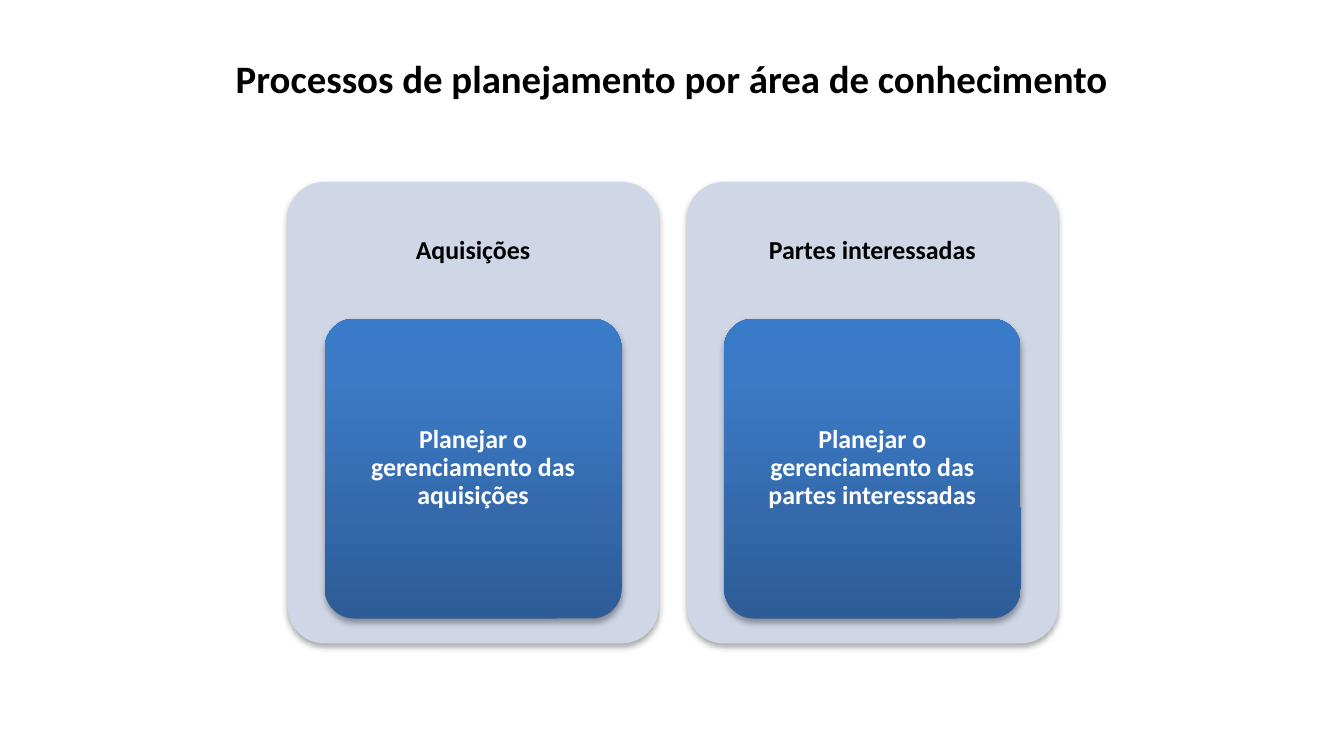
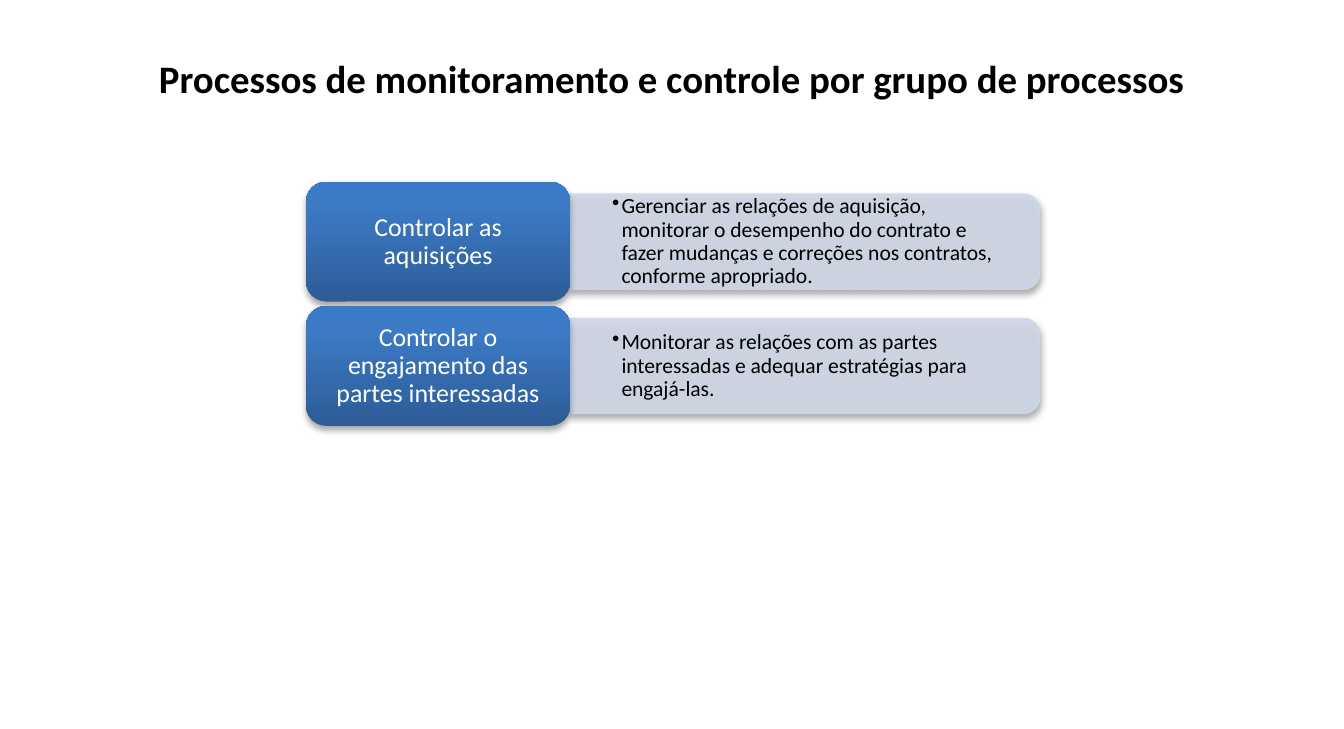
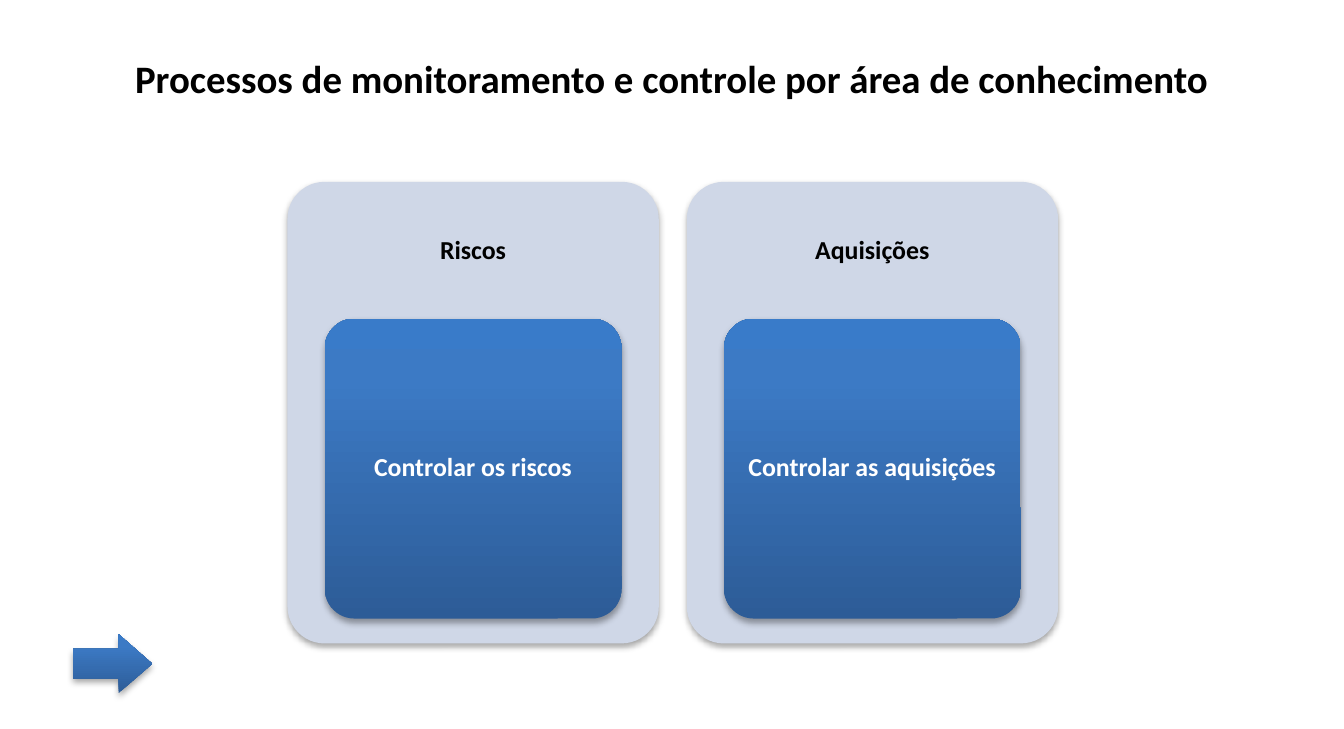
from lxml import etree
from pptx import Presentation
from pptx.dml.color import RGBColor
from pptx.enum.shapes import MSO_SHAPE
from pptx.enum.text import MSO_ANCHOR, PP_ALIGN
from pptx.oxml.ns import qn
from pptx.util import Inches, Pt

CENTER, LEFT = PP_ALIGN.CENTER, PP_ALIGN.LEFT
TOP, MIDDLE = MSO_ANCHOR.TOP, MSO_ANCHOR.MIDDLE
ROUNDED = MSO_SHAPE.ROUNDED_RECTANGLE
ROUNDED_TOP = MSO_SHAPE.ROUND_2_SAME_RECTANGLE
ARROW = MSO_SHAPE.RIGHT_ARROW

FONT = "Calibri"
BLACK, WHITE, PALE = "000000", "FFFFFF", "CFD7E7"
BLUE_STOPS = [(0, "2D5C97"), (80, "3C7AC5"), (100, "397BC9")]
SLIDE_WIDTH, SLIDE_HEIGHT = 8.65, 4.69
CONTENT_TOP = 1.17

PLANNING_TITLE = "Processos de planejamento por área de conhecimento"
PLANNING_CARDS = [
    ("Aquisições", "Planejar o gerenciamento das aquisições"),
    ("Partes interessadas", "Planejar o gerenciamento das partes interessadas"),
]
GROUP_TITLE = "Processos de monitoramento e controle por grupo de processos"
GROUP_ROWS = [
    ("Controlar as aquisições",
     "Gerenciar as relações de aquisição, monitorar o desempenho do contrato e "
     "fazer mudanças e correções nos contratos, conforme apropriado."),
    ("Controlar o engajamento das partes interessadas",
     "Monitorar as relações com as partes interessadas e adequar estratégias para "
     "engajá-las."),
]
AREA_TITLE = "Processos de monitoramento e controle por área de conhecimento"
AREA_CARDS = [
    ("Riscos", "Controlar os riscos"),
    ("Aquisições", "Controlar as aquisições"),
]


def color(value):
    return RGBColor.from_string(value)


def add_element(parent, tag, **attributes):
    element = etree.SubElement(parent, qn(tag))
    for name, value in attributes.items():
        element.set(name, str(value))
    return element


def add_color(parent, value, opacity=100):
    element = add_element(parent, "a:srgbClr", val=value)
    if opacity < 100:
        add_element(element, "a:alpha", val=opacity * 1000)


def add_shadow(shape):
    shape.shadow.inherit = False
    effects = shape._element.spPr.find(qn("a:effectLst"))
    shadow = add_element(effects, "a:outerShdw", blurRad=Pt(3.1), dist=Pt(1.8),
                         dir=90 * 60000, rotWithShape=0)
    add_color(shadow, BLACK, 35)


def fill_blue(shape):
    shape.fill.solid()
    properties = shape._element.spPr
    solid = properties.find(qn("a:solidFill"))
    gradient = etree.Element(qn("a:gradFill"), rotWithShape="1")
    stops = add_element(gradient, "a:gsLst")
    for position, value in BLUE_STOPS:
        add_color(add_element(stops, "a:gs", pos=position * 1000), value)
    add_element(gradient, "a:lin", ang=270 * 60000, scaled=0)
    properties.replace(solid, gradient)


def add_box(slide, kind, box, adjustments, fill=None):
    shape = slide.shapes.add_shape(kind, *map(Inches, box))
    for index, value in enumerate(adjustments):
        shape.adjustments[index] = value
    if fill:
        shape.fill.solid()
        shape.fill.fore_color.rgb = color(fill)
    else:
        fill_blue(shape)
    shape.line.fill.background()
    add_shadow(shape)
    return shape


def set_text(shape, text, size, font_color, margins, bold=False, align=CENTER,
             anchor=MIDDLE, spacing=0.9, bullet=False):
    frame = shape.text_frame
    frame.word_wrap = True
    frame.vertical_anchor = anchor
    (frame.margin_left, frame.margin_top,
     frame.margin_right, frame.margin_bottom) = map(Inches, margins)
    paragraph = frame.paragraphs[0]
    paragraph.text = text
    paragraph.alignment = align
    paragraph.line_spacing = spacing
    if bullet:
        properties = paragraph._p.get_or_add_pPr()
        properties.set("marL", str(Inches(0.06)))
        properties.set("indent", str(Inches(-0.06)))
        add_element(properties, "a:buChar", char="•")
    font = paragraph.runs[0].font
    font.name, font.size, font.bold = FONT, Pt(size), bold
    font.color.rgb = color(font_color)


def add_titled_slide(presentation, title):
    slide = presentation.slides.add_slide(presentation.slide_layouts[6])
    box = slide.shapes.add_textbox(0, Inches(0.3), Inches(SLIDE_WIDTH), Inches(0.4))
    set_text(box, title, 18, BLACK, (0.1, 0.05, 0.1, 0.05), bold=True,
             anchor=TOP, spacing=1.0)
    return slide


def add_cards(slide, cards):
    width, height, pitch, heading_height = 2.39, 2.97, 2.57, 0.89
    inner_width, inner_height = 1.91, 1.93
    for index, (heading, process) in enumerate(cards):
        left = 1.85 + index * pitch
        card = add_box(slide, ROUNDED, (left, CONTENT_TOP, width, height), [0.1], PALE)
        set_text(card, heading, 12, BLACK,
                 (0.05, 0.05, 0.05, height - heading_height + 0.05), bold=True)
        inner_left = left + (width - inner_width) / 2
        inner = add_box(slide, ROUNDED,
                        (inner_left, CONTENT_TOP + 0.88, inner_width, inner_height), [0.1])
        set_text(inner, process, 12, WHITE, (0.03, 0.02, 0.03, 0.02), bold=True)


def add_rows(slide, rows):
    label_left, label_width, label_height, pitch = 1.97, 1.7, 0.77, 0.8
    panel_left = label_left + label_width
    panel_width, panel_height = 3.02, 0.61
    for index, (label_text, description) in enumerate(rows):
        top = CONTENT_TOP + index * pitch
        middle = top + label_height / 2
        panel = add_box(slide, ROUNDED_TOP,
                        (panel_left + (panel_width - panel_height) / 2,
                         middle - panel_width / 2, panel_height, panel_width),
                        [0.167, 0], PALE)
        panel.rotation = 90
        panel.line.color.rgb = color(PALE)
        panel.line.width = Pt(0.75)
        for tone in panel._element.spPr.findall(".//" + qn("a:solidFill") + "/*"):
            add_element(tone, "a:alpha", val=90000)
        text = slide.shapes.add_textbox(Inches(panel_left), Inches(middle - 0.275),
                                        Inches(2.99), Inches(0.55))
        set_text(text, description, 10, BLACK, (0.27, 0.14, 0.27, 0.14),
                 align=LEFT, bullet=True)
        label = add_box(slide, ROUNDED, (label_left, top, label_width, label_height), [0.167])
        set_text(label, label_text, 12, WHITE, (0.05, 0.02, 0.05, 0.02))


def main():
    presentation = Presentation()
    presentation.slide_width = Inches(SLIDE_WIDTH)
    presentation.slide_height = Inches(SLIDE_HEIGHT)
    add_cards(add_titled_slide(presentation, PLANNING_TITLE), PLANNING_CARDS)
    add_rows(add_titled_slide(presentation, GROUP_TITLE), GROUP_ROWS)
    area_slide = add_titled_slide(presentation, AREA_TITLE)
    add_cards(area_slide, AREA_CARDS)
    add_box(area_slide, ARROW, (0.47, 4.08, 0.51, 0.38), [0.5, 0.57])
    presentation.save("out.pptx")


if __name__ == "__main__":
    main()
